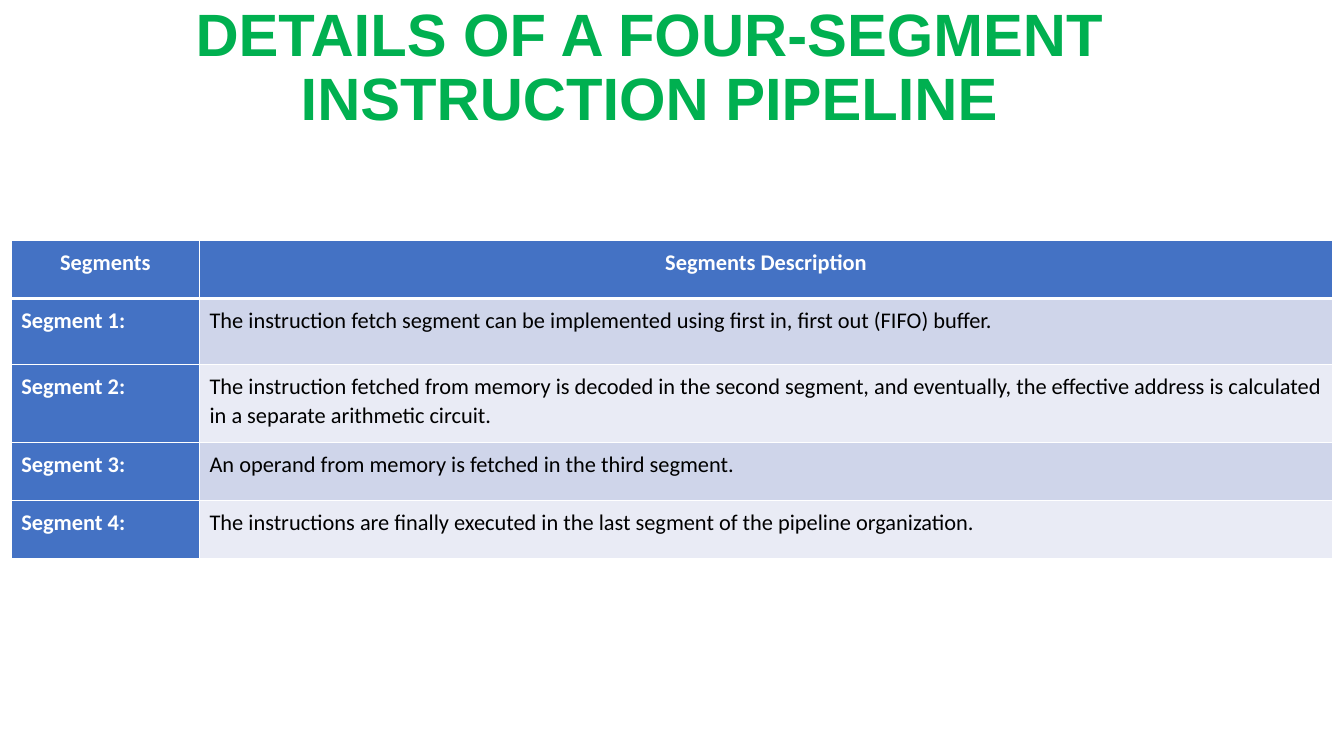
from dataclasses import dataclass

from lxml.etree import SubElement
from pptx import Presentation
from pptx.dml.color import RGBColor
from pptx.enum.text import MSO_ANCHOR, MSO_AUTO_SIZE, PP_ALIGN
from pptx.oxml.ns import qn
from pptx.util import Pt


@dataclass(frozen=True)
class Theme:
    heading: str = "00B050"
    accent: str = "4472C4"
    bands: tuple = ("CFD5EA", "E9EBF5")
    light: str = "FFFFFF"
    dark: str = "000000"
    heading_font: str = "Arial"
    body_font: str = "Calibri"
    heading_size: float = 32
    body_size: float = 12
    thin: float = 0.45
    thick: float = 1.47


THEME = Theme()
HEADING = "DETAILS OF A FOUR-SEGMENT INSTRUCTION PIPELINE"
SEGMENTS = [
    ("Segments", "Segments Description"),
    ("Segment 1:", "The instruction fetch segment can be implemented using "
                   "first in, first out (FIFO) buffer."),
    ("Segment 2:", "The instruction fetched from memory is decoded in the second "
                   "segment, and eventually, the effective address is calculated "
                   "in a separate arithmetic circuit."),
    ("Segment 3:", "An operand from memory is fetched in the third segment."),
    ("Segment 4:", "The instructions are finally executed in the last segment "
                   "of the pipeline organization."),
]
ROW_HEIGHTS = (31, 35.3, 41.8, 31, 31)
LABEL_SHARE = 0.1425


def write(frame, words, font_name, size, color, bold, align, spacing):
    paragraph = frame.paragraphs[0]
    paragraph.alignment = align
    paragraph.line_spacing = spacing
    run = paragraph.add_run()
    run.text = words
    run.font.name = font_name
    run.font.size = Pt(size)
    run.font.bold = bold
    run.font.color.rgb = RGBColor.from_string(color)


def set_borders(cell, top, bottom):
    properties = cell._tc.get_or_add_tcPr()
    widths = {"a:lnL": THEME.thin, "a:lnR": THEME.thin, "a:lnT": top, "a:lnB": bottom}
    for side, width in widths.items():
        border = SubElement(properties, qn(side), w=str(Pt(width)))
        fill = SubElement(border, qn("a:solidFill"))
        SubElement(fill, qn("a:srgbClr"), val=THEME.light)


def add_heading(slide, left, top, width, height):
    heading = slide.shapes.title
    heading.left, heading.top = Pt(left), Pt(top)
    heading.width, heading.height = Pt(width), Pt(height)
    frame = heading.text_frame
    frame.word_wrap = True
    frame.auto_size = MSO_AUTO_SIZE.NONE
    frame.vertical_anchor = MSO_ANCHOR.MIDDLE
    write(frame, HEADING, THEME.heading_font, THEME.heading_size, THEME.heading,
          True, PP_ALIGN.CENTER, 0.9)


def add_segments(slide, left, top, width):
    segments = slide.shapes.add_table(
        len(SEGMENTS), 2, Pt(left), Pt(top), Pt(width), Pt(sum(ROW_HEIGHTS))).table
    segments.columns[0].width = Pt(width * LABEL_SHARE)
    segments.columns[1].width = Pt(width * (1 - LABEL_SHARE))
    for r, (entries, height) in enumerate(zip(SEGMENTS, ROW_HEIGHTS)):
        segments.rows[r].height = Pt(height)
        for c, words in enumerate(entries):
            cell = segments.cell(r, c)
            is_label = r == 0 or c == 0
            cell.margin_left = cell.margin_right = Pt(5.4)
            cell.margin_top = cell.margin_bottom = Pt(3.6)
            set_borders(cell,
                        THEME.thick if r == 1 else THEME.thin,
                        THEME.thick if r == 0 else THEME.thin)
            cell.fill.solid()
            cell.fill.fore_color.rgb = RGBColor.from_string(
                THEME.accent if is_label else THEME.bands[(r - 1) % 2])
            write(cell.text_frame, words, THEME.body_font, THEME.body_size,
                  THEME.light if is_label else THEME.dark, is_label,
                  PP_ALIGN.CENTER if r == 0 else PP_ALIGN.JUSTIFY, 1.07)


def main():
    deck = Presentation()
    deck.slide_width, deck.slide_height = Pt(720), Pt(405)
    slide = deck.slides.add_slide(deck.slide_layouts[5])
    add_heading(slide, 24, 6.5, 648, 61)
    add_segments(slide, 6, 128.9, 708)
    deck.save("out.pptx")


if __name__ == "__main__":
    main()
